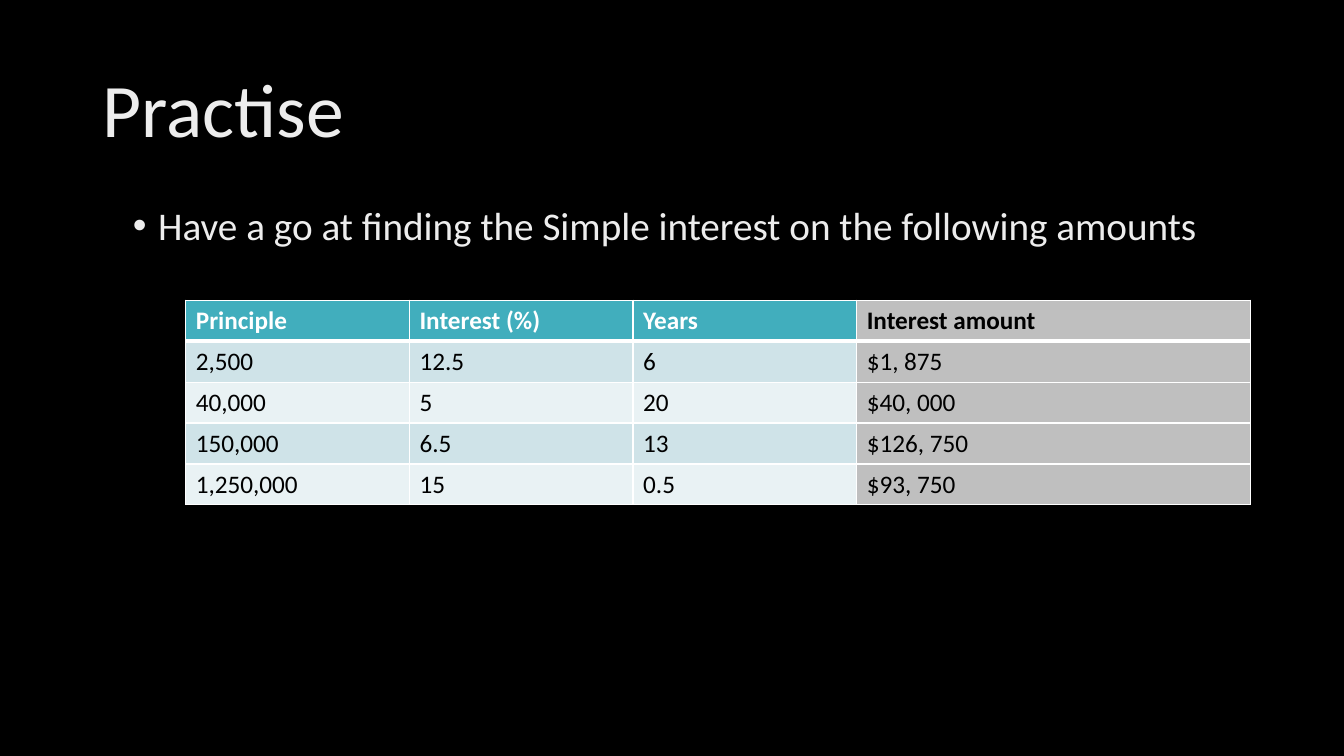
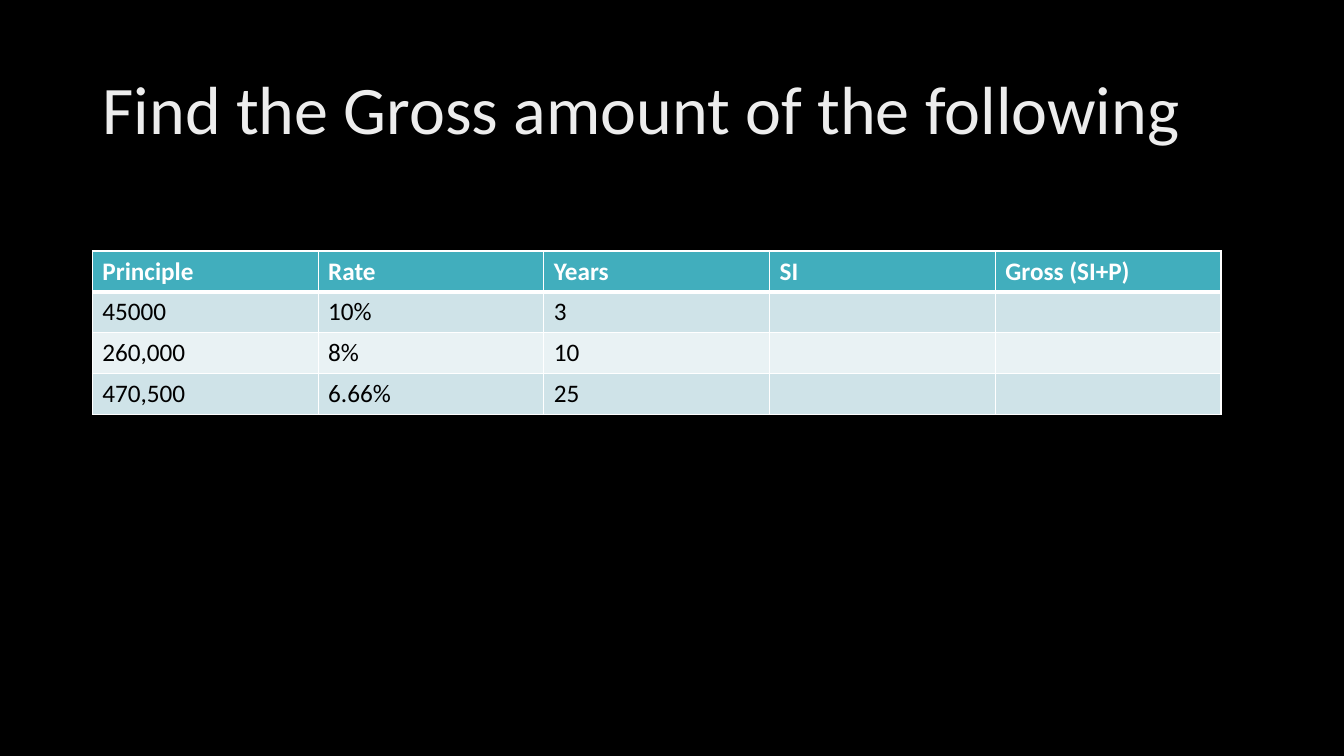
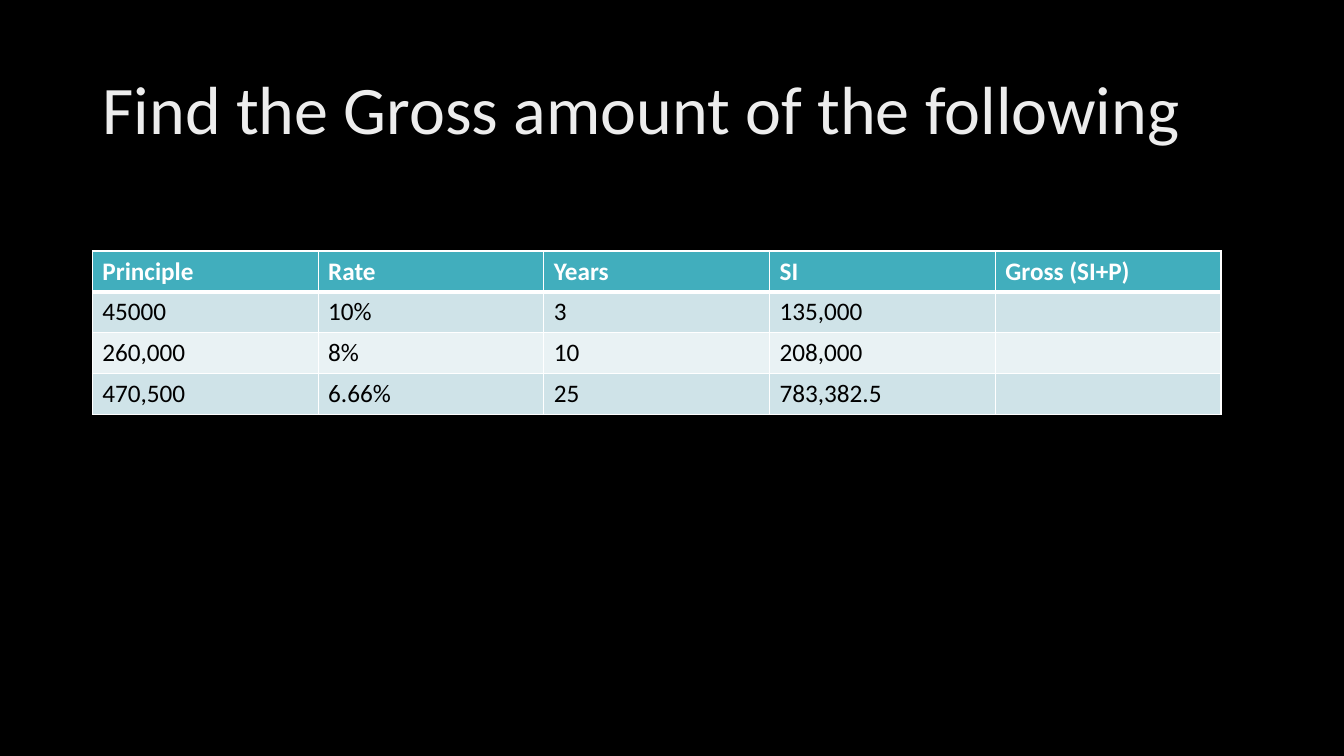
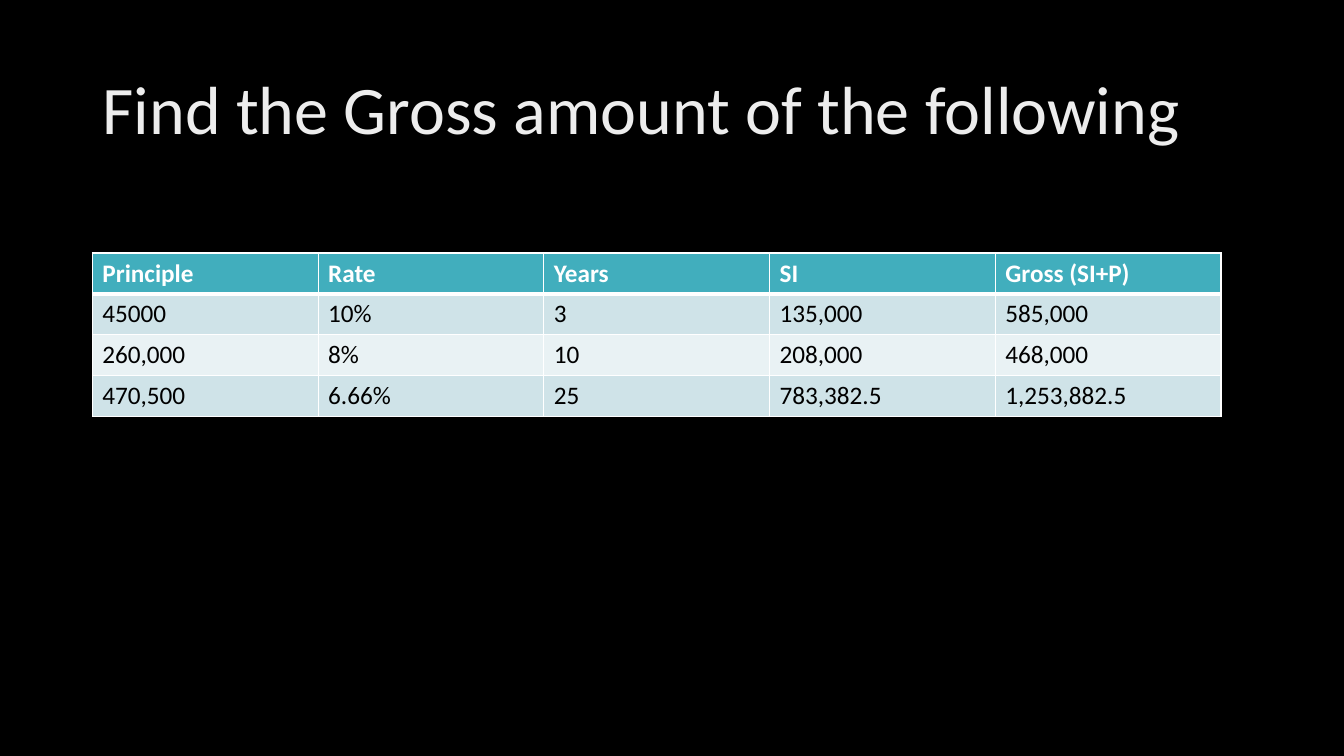
"""Builds four slides of practice tables on simple interest."""
from pptx import Presentation
from pptx.dml.color import RGBColor
from pptx.enum.text import MSO_ANCHOR, MSO_AUTO_SIZE, PP_ALIGN
from pptx.oxml import parse_xml
from pptx.oxml.ns import nsdecls
from pptx.util import Pt

PX = 9525
FONT = "Calibri"
LEFT = PP_ALIGN.LEFT
MIDDLE = MSO_ANCHOR.MIDDLE
TOP = MSO_ANCHOR.TOP
NO_FIT = MSO_AUTO_SIZE.NONE
LIST_LAY, TITLE_LAY = 1, 5

BLACK = RGBColor(0x00, 0x00, 0x00)
WHITE = RGBColor(0xFF, 0xFF, 0xFF)
PALE = RGBColor(0xED, 0xED, 0xED)
TEAL = RGBColor(0x41, 0xAE, 0xBD)
GREY = RGBColor(0xBF, 0xBF, 0xBF)
BANDS = (RGBColor(0xCF, 0xE3, 0xE8), RGBColor(0xE9, 0xF2, 0xF4))

TITLE_BOX = (88, 38, 1104, 139)
BODY_BOX = (117, 192, 1074, 457)
INDENT = 24
ROW = 39
THIN, THICK = 1, 3

LOANS = (
    ("Principle", "Interest (%)", "Years", "Interest amount"),
    ("2,500", "12.5", "6", "$1, 875"),
    ("40,000", "5", "20", "$40, 000"),
    ("150,000", "6.5", "13", "$126, 750"),
    ("1,250,000", "15", "0.5", "$93, 750"),
)
GROSS = (
    ("Principle", "Rate", "Years", "SI", "Gross (SI+P)"),
    ("45000", "10%", "3", "135,000", "585,000"),
    ("260,000", "8%", "10", "208,000", "468,000"),
    ("470,500", "6.66%", "25", "783,382.5", "1,253,882.5"),
)


def place(shape, box):
    """Move and size a shape in px."""
    shape.left, shape.top, shape.width, shape.height = (n * PX for n in box)


def add_run(para, text, size, color, bold=False):
    """Add one styled run to a paragraph."""
    run = para.add_run()
    run.text = text
    font = run.font
    font.name, font.size, font.bold = FONT, Pt(size), bold
    font.color.rgb = color


def fill_box(shape, box, text, size, anchor):
    """Place a text placeholder, write its line and return the paragraph."""
    place(shape, box)
    frame = shape.text_frame
    frame.word_wrap = True
    frame.auto_size = NO_FIT
    frame.vertical_anchor = anchor
    para = frame.paragraphs[0]
    para.alignment = LEFT
    para.line_spacing = 0.9
    para.space_before = Pt(0)
    add_run(para, text, size, PALE)
    return para


def add_slide(deck, layout, title, size):
    """Add a slide with its title."""
    slide = deck.slides.add_slide(deck.slide_layouts[layout])
    fill_box(slide.shapes.title, TITLE_BOX, title, size, MIDDLE)
    return slide


def add_list(slide, text):
    """Write the bullet line in the body placeholder."""
    para = fill_box(slide.placeholders[1], BODY_BOX, text, 28, TOP)
    props = para._p.get_or_add_pPr()
    props.set("marL", str(INDENT * PX))
    props.set("indent", str(-INDENT * PX))
    props.append(parse_xml(f'<a:buChar {nsdecls("a")} char="•"/>'))


def add_edge(cell, side, width):
    """Draw one white cell border."""
    cell._tc.get_or_add_tcPr().append(parse_xml(
        f'<a:ln{side} {nsdecls("a")} w="{Pt(width)}"><a:solidFill>'
        f'<a:srgbClr val="{WHITE}"/></a:solidFill></a:ln{side}>'))


def style_cell(cell, row, text, key):
    """Set borders, fill and text of one cell; key marks an answer."""
    edges = {"L": THIN, "R": THIN,
             "T": THICK if row == 1 else THIN,
             "B": THICK if row == 0 else THIN}
    for side, width in edges.items():
        add_edge(cell, side, width)
    head = row == 0
    back = GREY if key else TEAL if head else BANDS[(row - 1) % 2]
    cell.fill.solid()
    cell.fill.fore_color.rgb = back
    if text:
        color = WHITE if head and not key else BLACK
        add_run(cell.text_frame.paragraphs[0], text, 18, color, head)


def add_grid(slide, left, top, widths, data, shown, key=None):
    """Add a table whose body rows show their first few columns."""
    frame = slide.shapes.add_table(
        len(data), len(widths), left * PX, top * PX,
        sum(widths) * PX, len(data) * ROW * PX)
    table = frame.table
    table.horz_banding = False
    for col, width in zip(table.columns, widths):
        col.width = width * PX
    for r, line in enumerate(data):
        table.rows[r].height = ROW * PX
        for c, text in enumerate(line):
            seen = text if r == 0 or c < shown else ""
            style_cell(table.cell(r, c), r, seen, c == key)


def main():
    """Build and save the deck."""
    deck = Presentation()
    deck.slide_width, deck.slide_height = 1280 * PX, 720 * PX
    back = deck.slide_master.background.fill
    back.solid()
    back.fore_color.rgb = BLACK

    slide = add_slide(deck, LIST_LAY, "Practise", 54)
    add_list(slide, "Have a go at finding the Simple interest "
                    "on the following amounts")
    add_grid(slide, 177, 286, (213, 213, 213, 375), LOANS, 4, key=3)

    for shown, top in ((3, 239), (4, 239), (5, 241)):
        slide = add_slide(deck, TITLE_LAY,
                          "Find the Gross amount of the following", 48.6)
        add_grid(slide, 88, top, (215,) * 5, GROSS, shown)
    deck.save("out.pptx")


if __name__ == "__main__":
    main()
